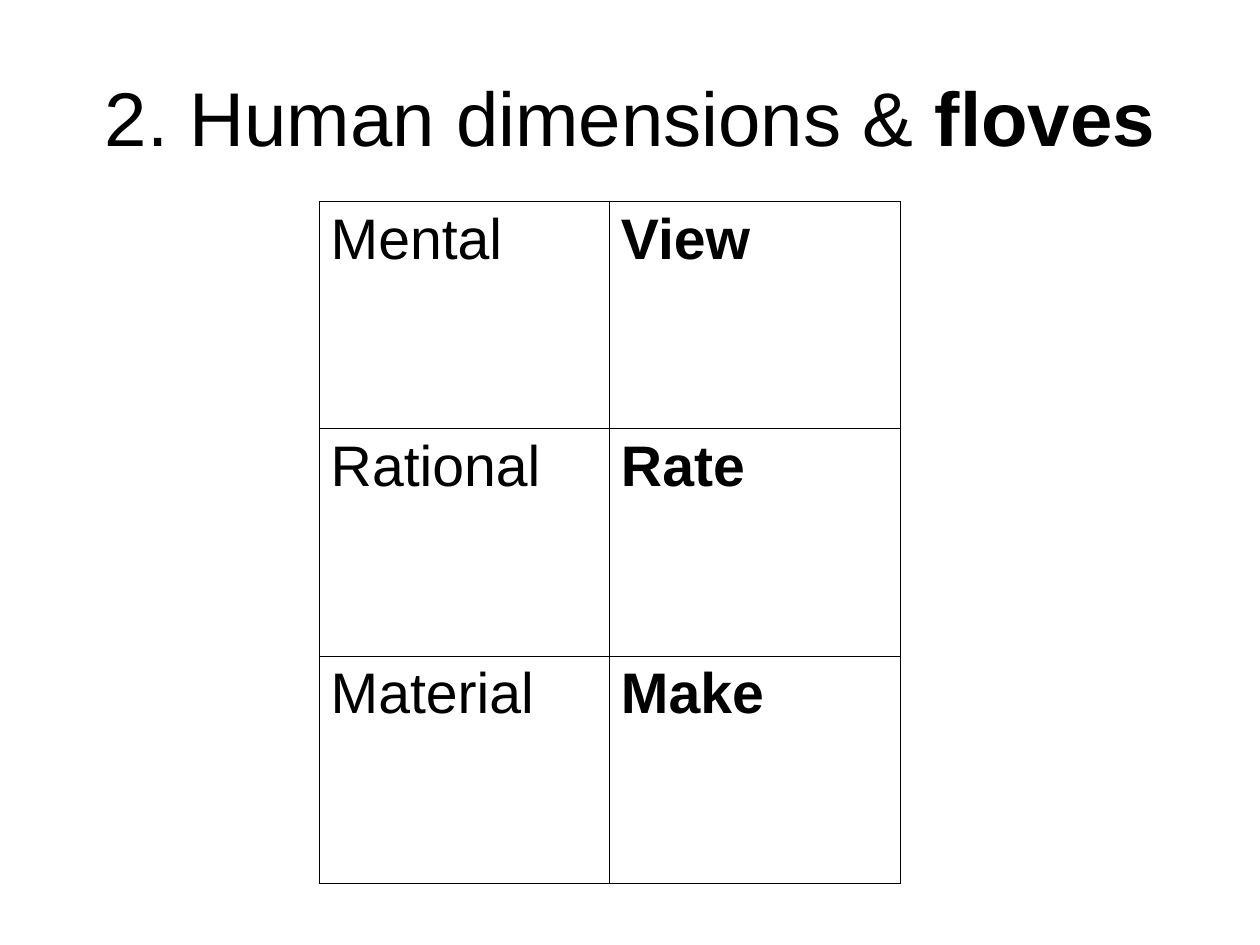
from lxml import etree
from pptx import Presentation
from pptx.dml.color import RGBColor
from pptx.enum.text import MSO_ANCHOR, PP_ALIGN
from pptx.oxml.ns import qn
from pptx.util import Cm, Pt

CENTER, LEFT = PP_ALIGN.CENTER, PP_ALIGN.LEFT
MIDDLE, TOP = MSO_ANCHOR.MIDDLE, MSO_ANCHOR.TOP
COLORS = {"text": "000000", "border": "000000", "background": "FFFFFF"}
FONT = "Arial"
BORDER_WIDTH = Pt(0.57)
DIMENSIONS = [("Mental", "View"), ("Rational", "Rate"), ("Material", "Make")]


def add_run(paragraph, text, size, bold=False, color="text", align=LEFT):
    paragraph.alignment = align
    run = paragraph.add_run()
    run.text = text
    run.font.name = FONT
    run.font.size = Pt(size)
    run.font.bold = bold
    run.font.color.rgb = RGBColor.from_string(COLORS[color])


def set_borders(cell):
    """Draw a thin line on all four sides of a table cell."""
    properties = cell._tc.get_or_add_tcPr()
    for position, side in enumerate(("lnL", "lnR", "lnT", "lnB")):
        line = etree.Element(qn(f"a:{side}"), w=str(BORDER_WIDTH))
        fill = etree.SubElement(line, qn("a:solidFill"))
        etree.SubElement(fill, qn("a:srgbClr"), val=COLORS["border"])
        properties.insert(position, line)


def add_title(slide, left, top, width, height):
    frame = slide.shapes.add_textbox(left, top, width, height).text_frame
    frame.word_wrap = True
    frame.vertical_anchor = MIDDLE
    frame.margin_left = frame.margin_right = 0
    frame.margin_top = frame.margin_bottom = 0
    paragraph = frame.paragraphs[0]
    add_run(paragraph, "2. Human dimensions &", 48, align=CENTER)
    add_run(paragraph, " floves", 48, bold=True, align=CENTER)


def add_dimension_table(slide, left, top, width, height):
    table = slide.shapes.add_table(
        len(DIMENSIONS), len(DIMENSIONS[0]), left, top, width, height
    ).table
    table.first_row = table.horz_banding = False
    for row, words in enumerate(DIMENSIONS):
        for column, word in enumerate(words):
            cell = table.cell(row, column)
            cell.fill.solid()
            cell.fill.fore_color.rgb = RGBColor.from_string(COLORS["background"])
            cell.vertical_anchor = TOP
            cell.margin_left = cell.margin_right = Cm(0.25)
            cell.margin_top = cell.margin_bottom = Cm(0.13)
            add_run(cell.text_frame.paragraphs[0], word, 36, bold=column == 1)
            set_borders(cell)


def main():
    presentation = Presentation()
    presentation.slide_width, presentation.slide_height = Cm(28), Cm(21)
    slide = presentation.slides.add_slide(presentation.slide_layouts[6])
    slide.background.fill.solid()
    slide.background.fill.fore_color.rgb = RGBColor.from_string(COLORS["background"])
    add_title(slide, Cm(1.4), Cm(-0.02), Cm(25.2), Cm(5.2))
    add_dimension_table(slide, Cm(7.1), Cm(4.48), Cm(12.9), Cm(15.15))
    presentation.save("out.pptx")


if __name__ == "__main__":
    main()
